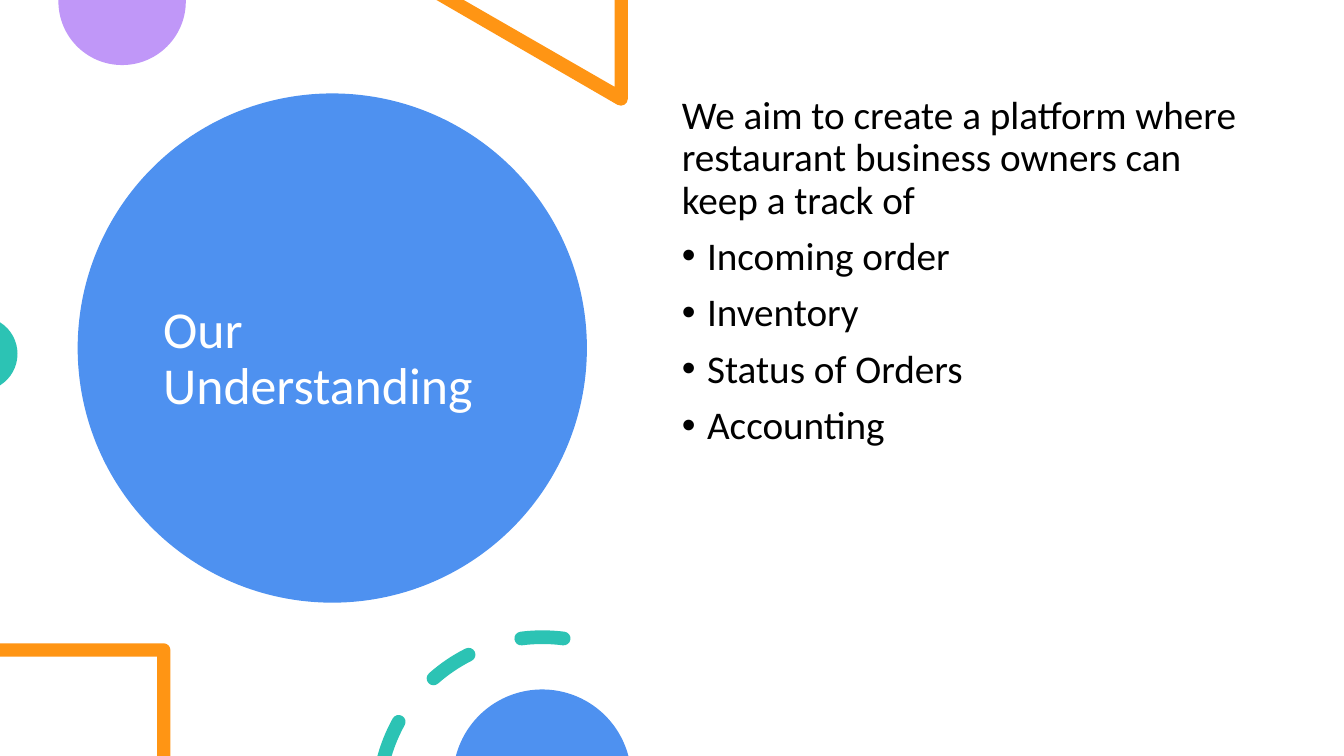
from collections import namedtuple
from math import asin, cos, degrees, radians, sin, tan

from lxml import etree
from pptx import Presentation
from pptx.dml.color import RGBColor
from pptx.enum.shapes import MSO_SHAPE
from pptx.enum.text import MSO_ANCHOR
from pptx.oxml.ns import qn
from pptx.util import Pt

OVAL = MSO_SHAPE.OVAL
TOP, MIDDLE = MSO_ANCHOR.TOP, MSO_ANCHOR.MIDDLE
BLUE = RGBColor(0x4E, 0x91, 0xF0)
TEAL = RGBColor(0x2C, 0xC3, 0xB4)
PURPLE = RGBColor(0xC0, 0x97, 0xF8)
ORANGE = RGBColor(0xFF, 0x95, 0x14)
WHITE = RGBColor(0xFF, 0xFF, 0xFF)
BLACK = RGBColor(0, 0, 0)
FONT = "Calibri"
WIDTH, HEIGHT = 960, 540

Box = namedtuple("Box", "left top width height")

INTRO = "We aim to create a platform where restaurant business owners can keep a track of"
TOPICS = ["Incoming order", "Inventory", "Status of Orders", "Accounting"]


def paint(shape, color):
    shape.shadow.inherit = False
    shape.fill.solid()
    shape.fill.fore_color.rgb = color
    shape.line.fill.background()


def corners(*points):
    return [(point,) for point in points]


def arc(x, y, radius, start, end, steps=1):
    def at(angle, pull=0):
        return (x + radius * (cos(angle) - pull * sin(angle)),
                y + radius * (sin(angle) + pull * cos(angle)))

    step = radians(end - start) / steps
    pull = 4 / 3 * tan(step / 4)
    angles = [radians(start) + step * i for i in range(steps + 1)]
    curves = [(at(a, pull), at(b, -pull), at(b)) for a, b in zip(angles, angles[1:])]
    return corners(at(angles[0])) + curves


def add_outline(page, box, contours, color):
    def place(point):
        return Pt(box.left + point[0]), Pt(box.top + point[1])

    builder = page.shapes.build_freeform(*place(contours[0][0][-1]), scale=1.0)
    for index, contour in enumerate(contours):
        if index:
            builder.move_to(*place(contour[0][-1]))
        builder.add_line_segments([place(part[-1]) for part in contour[1:]], close=True)
    shape = builder.convert_to_shape()
    paint(shape, color)
    parts = [part for contour in contours for part in contour[1:]]
    for line, part in zip(list(shape._element.iter(qn("a:lnTo"))), parts):
        if len(part) == 3:
            curve = etree.Element(qn("a:cubicBezTo"))
            for x, y in map(place, part):
                etree.SubElement(curve, qn("a:pt"), x=str(x - shape.left), y=str(y - shape.top))
            line.getparent().replace(line, curve)


def add_text(page, box, lines, size, color, anchor, space_before=0):
    frame = page.shapes.add_textbox(*(Pt(value) for value in box)).text_frame
    frame.word_wrap = True
    frame.vertical_anchor = anchor
    frame.text = "\n".join(lines)
    for para in frame.paragraphs:
        para.line_spacing = 0.9
        para.space_before = Pt(space_before)
        for span in para.runs:
            span.font.name = FONT
            span.font.size = Pt(size)
            span.font.color.rgb = color
    return frame


def add_bullet(para, indent):
    props = para._p.get_or_add_pPr()
    props.set("marL", str(Pt(indent)))
    props.set("indent", str(-Pt(indent)))
    etree.SubElement(props, qn("a:buFont")).set("typeface", "Arial")
    etree.SubElement(props, qn("a:buChar")).set("char", "•")


def add_title_circle(page, box):
    circle = page.shapes.add_shape(OVAL, *(Pt(value) for value in box))
    paint(circle, BLUE)
    title_box = Box(box.left + 54, box.top + 30, 255, 320.25)
    add_text(page, title_box, ["Our Understanding"], 37, WHITE, MIDDLE)


def add_body(page, box):
    frame = add_text(page, box, [INTRO] + TOPICS, 28, BLACK, TOP, 10)
    for para in frame.paragraphs[1:]:
        add_bullet(para, 18)


def add_top_circle(page, box):
    radius = box.width / 2
    rim = arc(radius, box.height - radius, radius, 0, 180, 2)
    contour = corners((box.width, 0)) + rim + corners((0, 0))
    add_outline(page, box, [contour], PURPLE)


def add_side_circle(page, box):
    radius = 26.5
    rim = arc(box.width - radius, box.height / 2, radius, -58, 58, 2)
    add_outline(page, box, [rim], TEAL)


def add_bottom_circle(page, box):
    radius = 63.7
    tilt = degrees(asin((radius - box.height) / radius))
    rim = arc(box.width / 2, radius, radius, 180 + tilt, 360 - tilt, 2)
    add_outline(page, box, [rim], BLUE)


def add_triangle(page, box):
    band, radius = 9.5, 5
    tip = arc(box.width - radius, box.height - radius, radius, 0, 120)
    inner = corners((0, 0), (19.5, 0), (box.width - band, 62),
                    (box.width - band, 0), (box.width, 0))
    add_outline(page, box, [inner + tip], ORANGE)


def add_square(page, box):
    band, radius = 9.5, 5
    corner = arc(box.width - radius, radius, radius, -90, 0)
    inner = corners((box.width, box.height), (box.width - band, box.height),
                    (box.width - band, band), (0, band), (0, 0))
    add_outline(page, box, [corner + inner], ORANGE)


def add_dashed_ring(page, box):
    half, radius = 4.9, 117.4
    x, y = 119.5, radius + half
    outer, inner = radius + half, radius - half

    def cut(rim):
        return 180 + degrees(asin((y - box.height) / rim))

    def end_cap(angle, turn):
        tip_x = x + radius * cos(radians(angle))
        tip_y = y + radius * sin(radians(angle))
        return arc(tip_x, tip_y, half, angle + turn, angle + turn + 180, 2)[1:]

    dashes = [arc(x, y, outer, cut(outer), 209) + end_cap(209, 0)
              + arc(x, y, inner, 209, cut(inner))[1:]]
    for start, end in ((228.5, 243.3), (262.6, 277.4)):
        dashes.append(arc(x, y, outer, start, end, 2) + end_cap(end, 0)
                      + arc(x, y, inner, end, start)[1:] + end_cap(start, 180))
    add_outline(page, box, dashes, TEAL)


def main():
    deck = Presentation()
    deck.slide_width, deck.slide_height = Pt(WIDTH), Pt(HEIGHT)
    page = deck.slides.add_slide(deck.slide_layouts[6])
    page.background.fill.solid()
    page.background.fill.fore_color.rgb = WHITE
    add_title_circle(page, Box(55.5, 66.75, 363.75, 363.75))
    add_top_circle(page, Box(41.75, 0, 91, 46.5))
    add_triangle(page, Box(311.75, 0, 136.75, 75.5))
    add_side_circle(page, Box(0, 231, 12.5, 43.5))
    add_body(page, Box(480, 64.75, 414, 385))
    add_square(page, Box(0, 459.5, 121.75, HEIGHT - 459.5))
    add_dashed_ring(page, Box(268, 450.25, 139.5, HEIGHT - 450.25))
    add_bottom_circle(page, Box(325.75, 492.5, 123, HEIGHT - 492.5))
    deck.save("out.pptx")


main()
